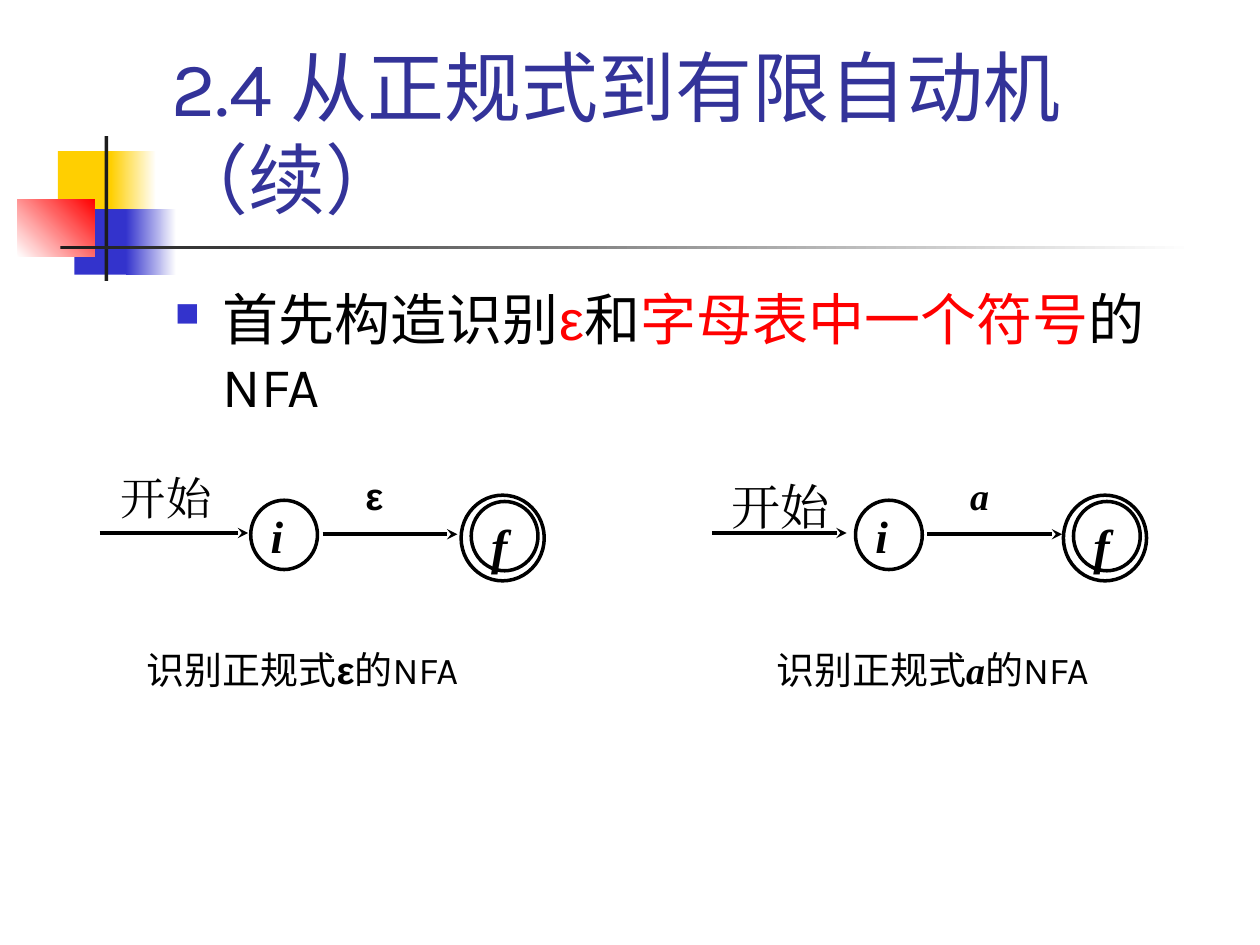
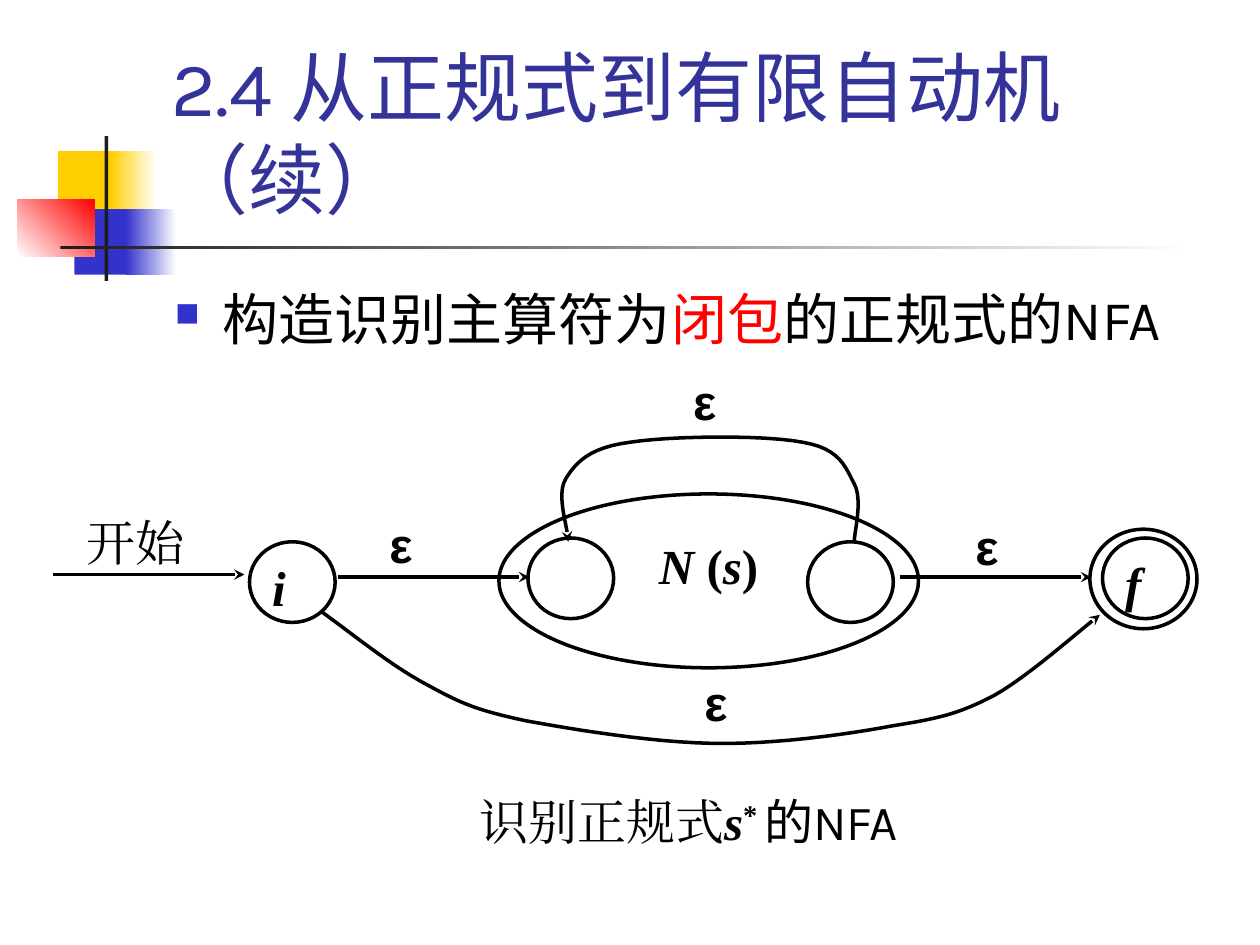
from lxml.etree import SubElement
from pptx import Presentation
from pptx.dml.color import RGBColor
from pptx.enum.shapes import MSO_CONNECTOR, MSO_SHAPE
from pptx.enum.text import MSO_ANCHOR, PP_ALIGN
from pptx.oxml.ns import qn
from pptx.util import Inches, Pt

BLACK = RGBColor(0, 0, 0)
WHITE = RGBColor(255, 255, 255)
RED = RGBColor(255, 0, 0)
GOLD = RGBColor(0xFF, 0xCF, 0x01)
BLUE = RGBColor(0x33, 0x33, 0xCC)
NAVY = RGBColor(0x33, 0x33, 0x99)
DARK = RGBColor(0x1C, 0x1C, 0x1C)

HAN, LATIN, ROMAN, GREEK = "Noto Sans CJK SC", "Karla", "Times New Roman", "Arial"
TITLE = "2.4 从正规式到有限自动机（续）"
TIGHT = (0.06, 0.03, 0.06, 0.03)
WIDE = (0.09, 0.03, 0.1, 0.05)
NFA = ("NFA", {"font": LATIN})
EPS = ("ε", {"font": GREEK, "bold": True})


def var(name):
    """A bold italic run for a state or symbol."""
    return name, {"font": ROMAN, "bold": True, "italic": True}


# Text
def add_run(para, text, size, font=HAN, color=BLACK, bold=False, italic=False, base=0):
    run = para.add_run()
    run.text = text
    run.font.size = Pt(size)
    run.font.name = font
    run.font.color.rgb = color
    run.font.bold = bold
    run.font.italic = italic
    props = run.font._element
    SubElement(props, qn("a:ea"), typeface=font)
    if base:
        props.set("baseline", str(base * 1000))


def write(shape, runs, size=28, inset=(0.1, 0.05, 0.1, 0.05), align=PP_ALIGN.LEFT,
          anchor=MSO_ANCHOR.TOP, space=None, bullet=False):
    frame = shape.text_frame
    frame.word_wrap = True
    frame.vertical_anchor = anchor
    (frame.margin_left, frame.margin_top,
     frame.margin_right, frame.margin_bottom) = map(Inches, inset)
    para = frame.paragraphs[0]
    para.alignment = align
    if space:
        para.line_spacing = space
    if bullet:
        add_bullet(para)
    for text, style in runs:
        add_run(para, text, size, **style)


def add_bullet(para):
    props = para._p.get_or_add_pPr()
    props.set("marL", str(Inches(0.38)))
    props.set("indent", str(-Inches(0.38)))
    color = SubElement(props, qn("a:buClr"))
    SubElement(color, qn("a:srgbClr"), val=str(BLUE))
    SubElement(props, qn("a:buSzPct"), val="60000")
    SubElement(props, qn("a:buChar"), char="■")


def add_text(slide, box, runs, **style):
    write(slide.shapes.add_textbox(*map(Inches, box)), runs, **style)


def add_label(slide, box, run, **style):
    add_text(slide, box, [run], align=PP_ALIGN.JUSTIFY, **style)


# Shapes
def add_block(slide, box, start, end=None, angle=0):
    block = slide.shapes.add_shape(MSO_SHAPE.RECTANGLE, *map(Inches, box))
    block.shadow.inherit = False
    block.line.fill.background()
    if end is None:
        block.fill.solid()
        block.fill.fore_color.rgb = start
        return
    block.fill.gradient()
    block.fill.gradient_angle = angle
    for stop, color in zip(block.fill.gradient_stops, (start, end)):
        stop.color.rgb = color


def set_line(shape, arrow=False):
    shape.line.color.rgb = BLACK
    shape.line.width = Pt(2)
    if arrow:
        SubElement(shape.line._get_or_add_ln(), qn("a:tailEnd"), type="stealth")


def add_oval(slide, box, name=None, size=28, low=0.02, space=None):
    oval = slide.shapes.add_shape(MSO_SHAPE.OVAL, *map(Inches, box))
    oval.shadow.inherit = False
    oval.fill.background()
    set_line(oval)
    if name:
        write(oval, [var(name)], size, inset=(0.08, 0.03, 0.02, low), space=space)


def add_arrow(slide, left, right, y):
    arrow = slide.shapes.add_connector(
        MSO_CONNECTOR.STRAIGHT, *map(Inches, (left, y, right, y)))
    set_line(arrow, arrow=True)
    SubElement(arrow._element.spPr, qn("a:effectLst"))


def bezier(a, b, c, d, t):
    s = 1 - t
    return tuple(Inches(s**3 * p + 3 * s * s * t * q + 3 * s * t * t * r + t**3 * e)
                 for p, q, r, e in zip(a, b, c, d))


def add_curve(slide, knots, steps=12):
    """Draw joined cubic curves: a start, then two controls and an end for each."""
    points = [bezier(*knots[i:i + 4], n / steps)
              for i in range(0, len(knots) - 1, 3) for n in range(1, steps + 1)]
    path = slide.shapes.build_freeform(*map(Inches, knots[0]))
    path.add_line_segments(points, close=False)
    curve = path.convert_to_shape()
    curve.shadow.inherit = False
    curve.fill.background()
    set_line(curve, arrow=True)


# Shared look
def add_page(deck, runs):
    slide = deck.slides.add_slide(deck.slide_layouts[6])
    add_block(slide, (0.46, 1.2, 0.48, 0.52), GOLD)
    add_block(slide, (0.88, 1.2, 0.36, 0.52), GOLD, WHITE)
    add_block(slide, (0.59, 1.66, 0.46, 0.52), BLUE)
    add_block(slide, (1, 1.66, 0.4, 0.52), BLUE, WHITE)
    add_block(slide, (0.14, 1.58, 0.61, 0.46), WHITE, RED, angle=45)
    add_block(slide, (0.83, 1.08, 0.03, 1.15), DARK)
    add_block(slide, (0.48, 1.95, 9, 0.03), DARK, WHITE)
    add_text(slide, (1.26, 0.23, 8.52, 1.6), [(TITLE, {"font": LATIN, "color": NAVY})],
             size=44, anchor=MSO_ANCHOR.BOTTOM)
    add_text(slide, (1.29, 2.21, 8.5, 4.5), runs, size=32, bullet=True)
    return slide


def add_basic(slide, start, first, final, symbol, note):
    """A two-state automaton: start arrow, state i, labelled edge, state f."""
    add_arrow(slide, *start, 4.23)
    add_oval(slide, (first, 3.97, 0.53, 0.55), "i", size=25.9, low=0.05, space=0.9)
    add_arrow(slide, first + 0.57, first + 1.64, 4.24)
    add_label(slide, (first + 0.85, 3.79, 0.43, 0.44), symbol,
              size=21.7, inset=TIGHT, space=0.8)
    add_oval(slide, (final, 3.93, 0.66, 0.68))
    add_oval(slide, (final + 0.08, 3.98, 0.53, 0.55), "f")
    add_text(slide, (note, 5.17, 3.96, 0.46),
             [("识别正规式", {}), symbol, ("的", {}), NFA],
             size=21.7, inset=TIGHT, align=PP_ALIGN.CENTER, space=0.8)


def add_star(slide):
    """The automaton for the closure of s."""
    # States
    add_oval(slide, (3.96, 3.92, 3.33, 1.38))
    add_oval(slide, (4.19, 4.27, 0.68, 0.64))
    add_oval(slide, (6.41, 4.3, 0.68, 0.64))
    add_oval(slide, (8.65, 4.2, 0.85, 0.79))
    add_oval(slide, (8.75, 4.27, 0.68, 0.64), "f")
    add_oval(slide, (1.98, 4.3, 0.68, 0.64), "i", low=0.05)
    upright = {"font": ROMAN, "bold": True}
    add_text(slide, (5.14, 4.22, 1.16, 0.77),
             [var("N "), ("(", upright), var("s"), (")", upright)],
             inset=WIDE, align=PP_ALIGN.JUSTIFY)

    # Edges
    for left, y in ((0.42, 4.56), (2.68, 4.58), (7.14, 4.58)):
        add_arrow(slide, left, left + 1.52, y)
    add_curve(slide, [
        (2.56, 4.86), (2.86, 5.08), (3.13, 5.3), (3.4, 5.44),
        (3.67, 5.59), (3.8, 5.64), (4.17, 5.72),
        (4.55, 5.79), (5.16, 5.89), (5.65, 5.9),
        (6.14, 5.91), (6.72, 5.83), (7.09, 5.76),
        (7.47, 5.7), (7.62, 5.66), (7.89, 5.52),
        (8.16, 5.37), (8.56, 5.01), (8.73, 4.88)])
    add_curve(slide, [
        (6.78, 4.3), (6.78, 4.22), (6.85, 3.97), (6.78, 3.84),
        (6.71, 3.71), (6.67, 3.56), (6.37, 3.51),
        (6.07, 3.45), (5.31, 3.46), (5, 3.51),
        (4.68, 3.55), (4.57, 3.67), (4.49, 3.8),
        (4.41, 3.93), (4.51, 4.19), (4.51, 4.3)])

    # Labels
    add_label(slide, (0.63, 4.04, 1.11, 0.61), ("开始", {"font": ROMAN}), inset=TIGHT)
    for left, top in ((3, 4.05), (5.5, 5.31), (7.65, 4.07), (5.41, 2.92)):
        add_label(slide, (left, top, 0.65, 0.59), EPS, inset=WIDE)
    add_text(slide, (2.92, 6.25, 5.09, 0.54),
             [("识别正规式", {"font": ROMAN}), var("s"),
              ("* ", {**upright, "base": 30}), ("的", {}), NFA],
             inset=TIGHT, align=PP_ALIGN.CENTER)


def main():
    deck = Presentation()
    deck.slide_width, deck.slide_height = Inches(10), Inches(7.5)

    # Automata for the empty string and for one symbol
    slide = add_page(deck, [
        ("首先构造识别", {}), ("ε", {"font": GREEK, "color": RED}), ("和", {}),
        ("字母表中一个符号", {"color": RED}), ("的", {}), NFA])
    add_basic(slide, (0.79, 1.97), 1.99, 3.66, EPS, 0.42)
    add_basic(slide, (5.65, 6.72), 6.79, 8.44, var("a"), 5.42)
    begin = ("开始", {"font": ROMAN})
    add_label(slide, (0.9, 3.75, 1.01, 0.52), begin, size=25.9, inset=TIGHT, space=0.9)
    add_label(slide, (5.75, 3.75, 1, 0.54), begin, inset=TIGHT)

    # Automaton for the closure
    slide = add_page(deck, [("构造识别主算符为", {}), ("闭包", {"color": RED}),
                            ("的正规式的", {}), NFA])
    add_star(slide)

    deck.save("out.pptx")


if __name__ == "__main__":
    main()
